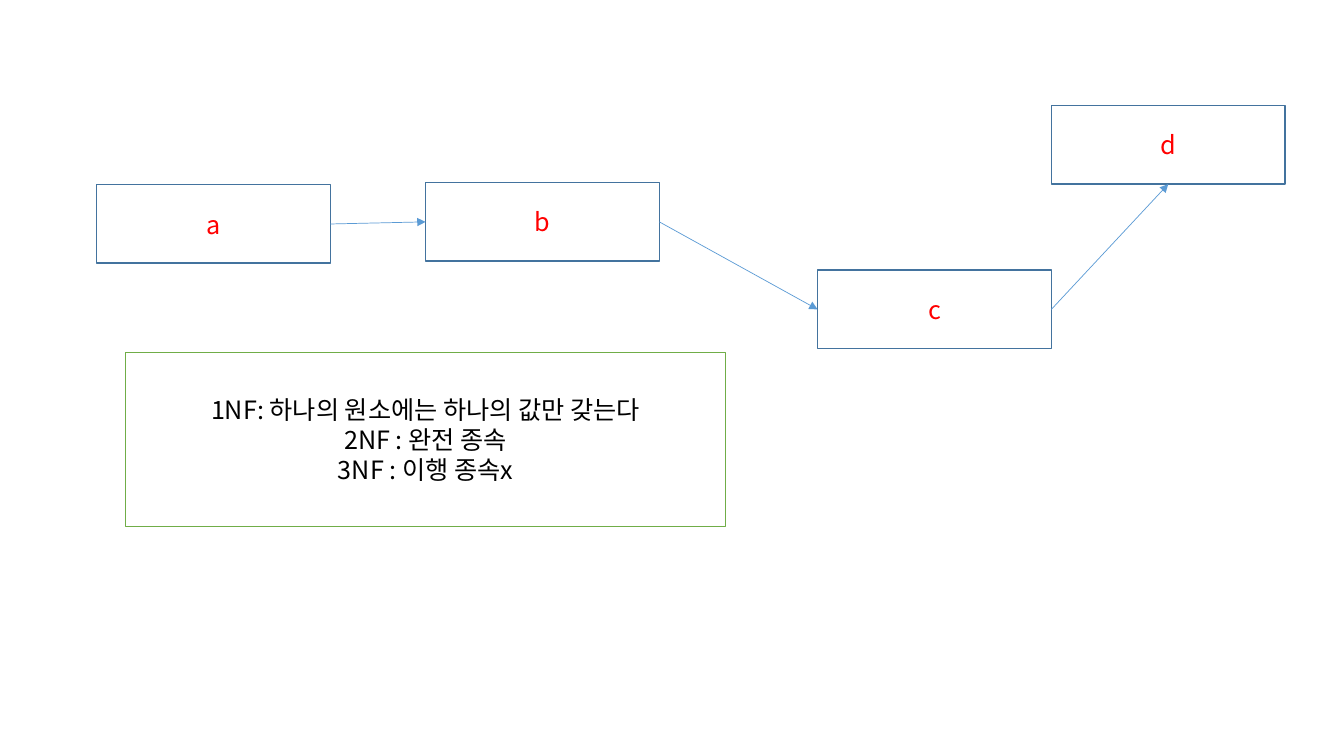
from lxml.etree import SubElement
from pptx import Presentation
from pptx.dml.color import RGBColor
from pptx.enum.shapes import MSO_CONNECTOR, MSO_SHAPE
from pptx.enum.text import MSO_ANCHOR, PP_ALIGN
from pptx.oxml.ns import qn
from pptx.util import Pt

COLORS = {
    "paper": "FFFFFF",
    "node_line": "43739E",
    "node_text": "FF0000",
    "arrow": "5B9BD5",
    "note_line": "70AD47",
    "note_text": "000000",
}
FONT = "Noto Sans CJK KR"
TOP, LEFT, BOTTOM, RIGHT = range(4)
NODE_WIDTH, NODE_HEIGHT = 167, 56
NODES = {"a": (0, 56.5), "b": (235, 55), "c": (515, 117.5), "d": (682, 0)}
ARROWS = [("a", "b", LEFT), ("b", "c", LEFT), ("c", "d", BOTTOM)]
NORMAL_FORMS = [
    "1NF: 하나의 원소에는 하나의 값만 갖는다",
    "2NF : 완전 종속",
    "3NF : 이행 종속x",
]


def color(name):
    return RGBColor.from_string(COLORS[name])


def add_box(page, left, top, width, height, lines, style):
    box = page.shapes.add_shape(
        MSO_SHAPE.RECTANGLE, Pt(left), Pt(top), Pt(width), Pt(height)
    )
    box.shadow.inherit = False
    box.fill.solid()
    box.fill.fore_color.rgb = color("paper")
    box.line.color.rgb = color(f"{style}_line")
    box.line.width = Pt(1)
    frame = box.text_frame
    frame.word_wrap = True
    frame.vertical_anchor = MSO_ANCHOR.MIDDLE
    frame.text = "\n".join(lines)
    for para in frame.paragraphs:
        para.alignment = PP_ALIGN.CENTER
        para.font.size = Pt(18)
        para.font.name = FONT
        para.font.color.rgb = color(f"{style}_text")
    for latin in box.element.iter(qn("a:latin")):
        east_asian = latin.makeelement(qn("a:ea"), {"typeface": FONT})
        latin.addnext(east_asian)
    return box


def add_arrow(page, source, target, target_side):
    arrow = page.shapes.add_connector(MSO_CONNECTOR.STRAIGHT, 0, 0, 0, 0)
    arrow.begin_connect(source, RIGHT)
    arrow.end_connect(target, target_side)
    arrow.line.color.rgb = color("arrow")
    arrow.line.width = Pt(0.5)
    properties = arrow.element.spPr
    SubElement(properties.find(qn("a:ln")), qn("a:tailEnd"), type="triangle")
    SubElement(properties, qn("a:effectLst"))


def add_dependency_chain(page, left, top):
    boxes = {
        name: add_box(
            page, left + x, top + y, NODE_WIDTH, NODE_HEIGHT, [name], "node"
        )
        for name, (x, y) in NODES.items()
    }
    for source, target, side in ARROWS:
        add_arrow(page, boxes[source], boxes[target], side)


def main():
    deck = Presentation()
    deck.slide_width, deck.slide_height = Pt(960), Pt(540)
    page = deck.slides.add_slide(deck.slide_layouts[6])
    add_dependency_chain(page, 69, 75.5)
    add_box(page, 89.5, 252, 429, 124, NORMAL_FORMS, "note")
    deck.save("out.pptx")


if __name__ == "__main__":
    main()
